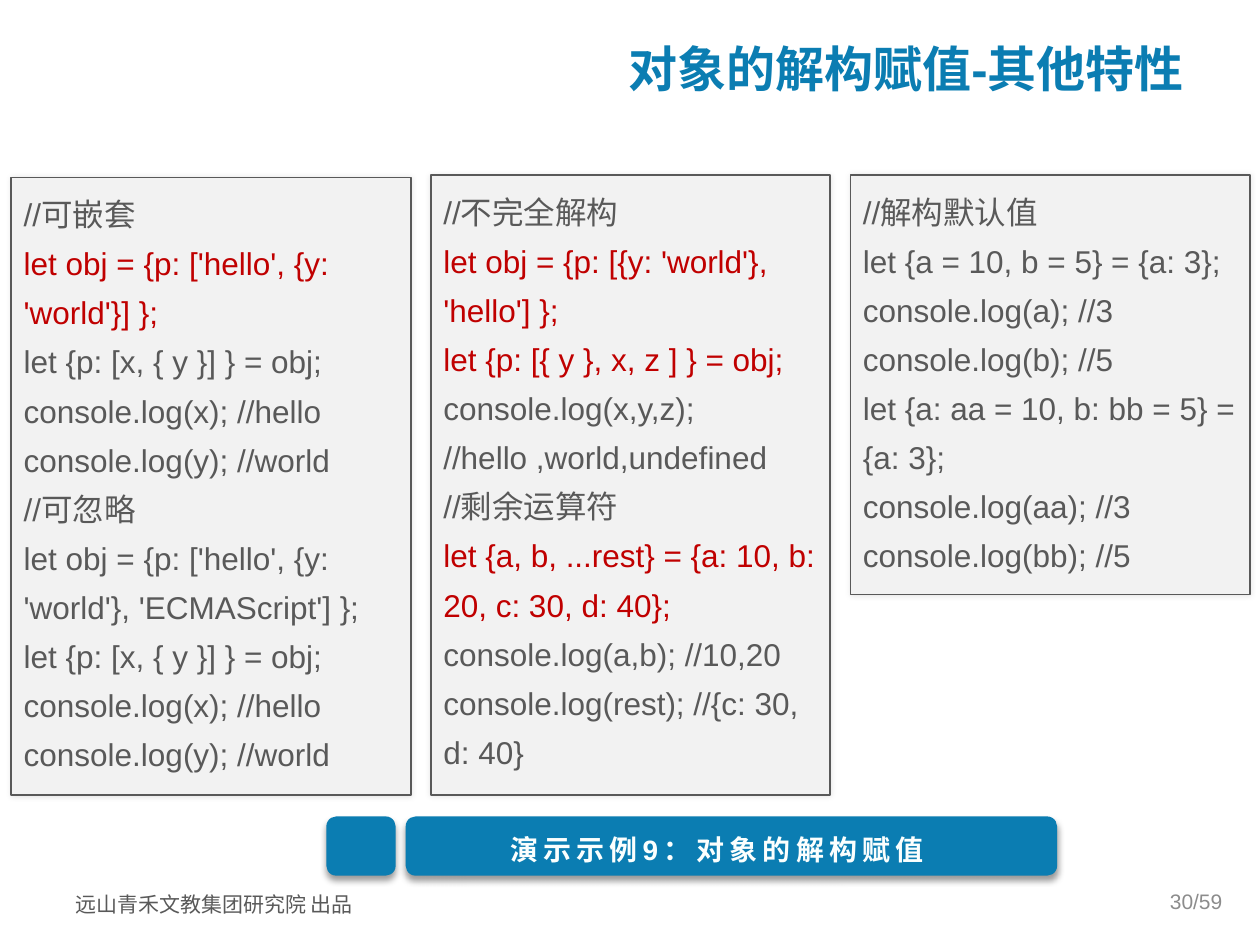
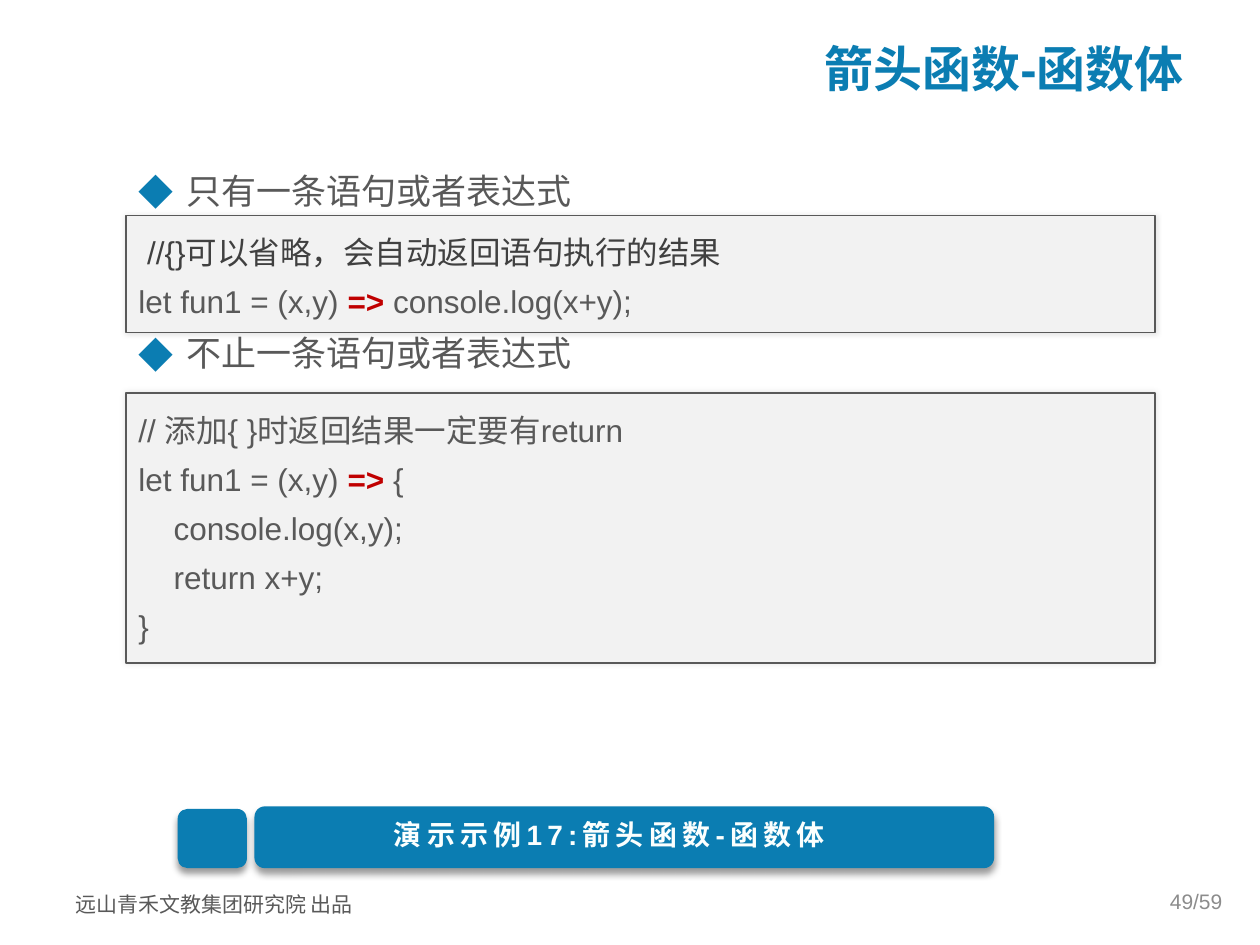
from lxml import etree
from pptx import Presentation
from pptx.dml.color import RGBColor
from pptx.enum.shapes import MSO_SHAPE
from pptx.enum.text import MSO_ANCHOR, PP_ALIGN
from pptx.oxml.ns import qn
from pptx.util import Inches, Pt

RECTANGLE, ROUNDED = MSO_SHAPE.RECTANGLE, MSO_SHAPE.ROUNDED_RECTANGLE
TOP, MIDDLE = MSO_ANCHOR.TOP, MSO_ANCHOR.MIDDLE
LEFT, CENTER, RIGHT = PP_ALIGN.LEFT, PP_ALIGN.CENTER, PP_ALIGN.RIGHT

BLUE = RGBColor(0x0B, 0x7D, 0xB2)
GRAY = RGBColor(0x59, 0x59, 0x59)
DARK = RGBColor(0x40, 0x40, 0x40)
PALE = RGBColor(0xF2, 0xF2, 0xF2)
PAGE_GRAY = RGBColor(0x8C, 0x8C, 0x8C)
RED = RGBColor(0xC0, 0x00, 0x00)
WHITE = RGBColor(0xFB, 0xFF, 0xFE)
LATIN, CHINESE = "Arial", "Noto Sans CJK SC"

WIDTH, HEIGHT = 10, 7.5
MARGIN = 1
TITLE_AREA = (MARGIN, 0.31, 8.49, 0.45)
BODY_AREA = (MARGIN, 1.23, 8.49, 4.72)
FOOTER_AREA = (0.5, 6.99, 2.8, 0.34)
PAGE_AREA = (7.47, 6.95, 2.33, 0.4)
COLUMN_LEFT, COLUMN_STEP, COLUMN_WIDTH = 0.09, 3.33, 3.17
WIDE_CODE = 8.17
CODE_INDENT = 0.28
BULLET_INDENT = 0.38
SOFT_SHADOW = {"alpha": 10, "blur": 3, "distance": 0, "angle": 0}
DROP_SHADOW = {"alpha": 40, "blur": 4, "distance": 3, "angle": 90}

FOOTER = "远山青禾文教集团研究院 出品"
PAGE_COUNT = 59


def red(text):
    return [(text, RED, False)]


ARROW = ("=>", RED, True)

DESTRUCTURING = {
    "title": "对象的解构赋值-其他特性",
    "page": 30,
    "demo": "演示示例9：对象的解构赋值",
    "demo_areas": [(2.59, 6.48, 0.55, 0.47), (3.22, 6.48, 5.17, 0.47), (3.26, 6.56, 4.86, 0.37)],
    "columns": [
        (1.41, 4.9, [
            "//可嵌套",
            red("let obj = {p: ['hello', {y: 'world'}] };"),
            "let {p: [x, { y }] } = obj;",
            "console.log(x); //hello",
            "console.log(y); //world",
            "//可忽略",
            "let obj = {p: ['hello', {y: 'world'}, 'ECMAScript'] };",
            "let {p: [x, { y }] } = obj;",
            "console.log(x); //hello",
            "console.log(y); //world",
        ]),
        (1.39, 4.92, [
            "//不完全解构",
            red("let obj = {p: [{y: 'world'}, 'hello'] };"),
            red("let {p: [{ y }, x, z ] } = obj;"),
            "console.log(x,y,z); //hello ,world,undefined",
            "//剩余运算符",
            red("let {a, b, ...rest} = {a: 10, b: 20, c: 30, d: 40};"),
            "console.log(a,b); //10,20",
            "console.log(rest); //{c: 30, d: 40}",
        ]),
        (1.39, 3.33, [
            "//解构默认值",
            "let {a = 10, b = 5} = {a: 3};",
            "console.log(a); //3",
            "console.log(b); //5",
            "let {a: aa = 10, b: bb = 5} = {a: 3};",
            "console.log(aa); //3",
            "console.log(bb); //5",
        ]),
    ],
}

ARROW_FUNCTIONS = {
    "title": "箭头函数-函数体",
    "page": 49,
    "demo": "演示示例17:箭头函数-函数体",
    "demo_areas": [(1.41, 6.42, 0.55, 0.47), (2.02, 6.4, 5.87, 0.49), (1.78, 6.44, 6.11, 0.37)],
    "bullets": [("只有一条语句或者表达式", 4), ("不止一条语句或者表达式", 64)],
    "rows": [
        (1.71, 0.93, [
            [(" //{}可以省略，会自动返回语句执行的结果", DARK, False)],
            [("let fun1 = (x,y) ", GRAY, False), ARROW, (" console.log(x+y);", GRAY, False)],
        ], ()),
        (3.12, 2.14, [
            "// 添加{ }时返回结果一定要有return",
            [("let fun1 = (x,y) ", GRAY, False), ARROW, (" {", GRAY, False)],
            "console.log(x,y);",
            "return x+y;",
            "}",
        ], (2, 3)),
    ],
}


def inches(area):
    return [Inches(length) for length in area]


def format_run(run, size, color, bold=False, latin=LATIN, spacing=0):
    run.font.size = Pt(size)
    run.font.bold = bold
    run.font.color.rgb = color
    run.font.name = latin
    properties = run.font._element
    etree.SubElement(properties, qn("a:ea")).set("typeface", CHINESE)
    if spacing:
        properties.set("spc", str(spacing * 100))


def add_text(slide, area, text, size, color, align=LEFT, anchor=TOP, line_spacing=1, **style):
    frame = slide.shapes.add_textbox(*inches(area)).text_frame
    frame.word_wrap = True
    frame.vertical_anchor = anchor
    frame.text = text
    paragraph = frame.paragraphs[0]
    paragraph.alignment = align
    paragraph.line_spacing = line_spacing
    format_run(paragraph.runs[0], size, color, **style)


def add_panel(slide, kind, area, fill, shadow, outline=None):
    shape = slide.shapes.add_shape(kind, *inches(area))
    shape.shadow.inherit = False
    shape.fill.solid()
    shape.fill.fore_color.rgb = fill
    if outline:
        shape.line.color.rgb = outline
        shape.line.width = Pt(1)
    else:
        shape.line.fill.background()
    effects = shape._element.spPr.find(qn("a:effectLst"))
    outer = etree.SubElement(effects, qn("a:outerShdw"), blurRad=str(Pt(shadow["blur"])),
                             dist=str(Pt(shadow["distance"])), dir=str(shadow["angle"] * 60000),
                             algn="ctr", rotWithShape="0")
    color = etree.SubElement(outer, qn("a:srgbClr"), val="000000")
    etree.SubElement(color, qn("a:alpha"), val=str(shadow["alpha"] * 1000))
    return shape


def add_code(slide, area, lines, indented=()):
    frame = add_panel(slide, RECTANGLE, area, PALE, SOFT_SHADOW, GRAY).text_frame
    frame.word_wrap = True
    frame.vertical_anchor = TOP
    for index, line in enumerate(lines):
        paragraph = frame.add_paragraph() if index else frame.paragraphs[0]
        paragraph.alignment = LEFT
        paragraph.line_spacing = 1.3
        if index in indented:
            paragraph._p.get_or_add_pPr().set("marL", str(Inches(CODE_INDENT)))
        pieces = [(line, GRAY, False)] if isinstance(line, str) else line
        for text, color, bold in pieces:
            run = paragraph.add_run()
            run.text = text
            format_run(run, 18, color, bold)


def add_bullets(slide, bullets):
    frame = slide.shapes.add_textbox(*inches(BODY_AREA)).text_frame
    frame.word_wrap = True
    for index, (text, space_before) in enumerate(bullets):
        paragraph = frame.add_paragraph() if index else frame.paragraphs[0]
        paragraph.text = text
        paragraph.line_spacing = 1.2
        paragraph.space_before = Pt(space_before)
        format_run(paragraph.runs[0], 20, GRAY, latin=CHINESE)
        properties = paragraph._p.get_or_add_pPr()
        properties.set("marL", str(Inches(BULLET_INDENT)))
        properties.set("indent", str(-Inches(BULLET_INDENT)))
        bullet_color = etree.SubElement(properties, qn("a:buClr"))
        etree.SubElement(bullet_color, qn("a:srgbClr"), val=str(BLUE))
        etree.SubElement(properties, qn("a:buFont"), typeface=CHINESE)
        etree.SubElement(properties, qn("a:buChar"), char="◆")


def add_base_slide(presentation, content):
    slide = presentation.slides.add_slide(presentation.slide_layouts[6])
    add_text(slide, FOOTER_AREA, FOOTER, 12, GRAY, line_spacing=1.2, latin=CHINESE)
    add_text(slide, TITLE_AREA, content["title"], 28, BLUE, RIGHT, MIDDLE, bold=True)
    add_text(slide, PAGE_AREA, f"{content['page']}/{PAGE_COUNT}", 12, PAGE_GRAY, RIGHT, MIDDLE)
    icon_area, banner_area, label_area = content["demo_areas"]
    for area in (icon_area, banner_area):
        add_panel(slide, ROUNDED, area, BLUE, DROP_SHADOW)
    add_text(slide, label_area, content["demo"], 16, WHITE, CENTER, bold=True, spacing=3)
    return slide


def main():
    presentation = Presentation()
    presentation.slide_width, presentation.slide_height = inches((WIDTH, HEIGHT))

    slide = add_base_slide(presentation, DESTRUCTURING)
    for index, (top, height, lines) in enumerate(DESTRUCTURING["columns"]):
        left = COLUMN_LEFT + index * COLUMN_STEP
        add_code(slide, (left, top, COLUMN_WIDTH, height), lines)

    slide = add_base_slide(presentation, ARROW_FUNCTIONS)
    add_bullets(slide, ARROW_FUNCTIONS["bullets"])
    for top, height, lines, indented in ARROW_FUNCTIONS["rows"]:
        add_code(slide, (MARGIN, top, WIDE_CODE, height), lines, indented)

    presentation.save("out.pptx")


if __name__ == "__main__":
    main()
